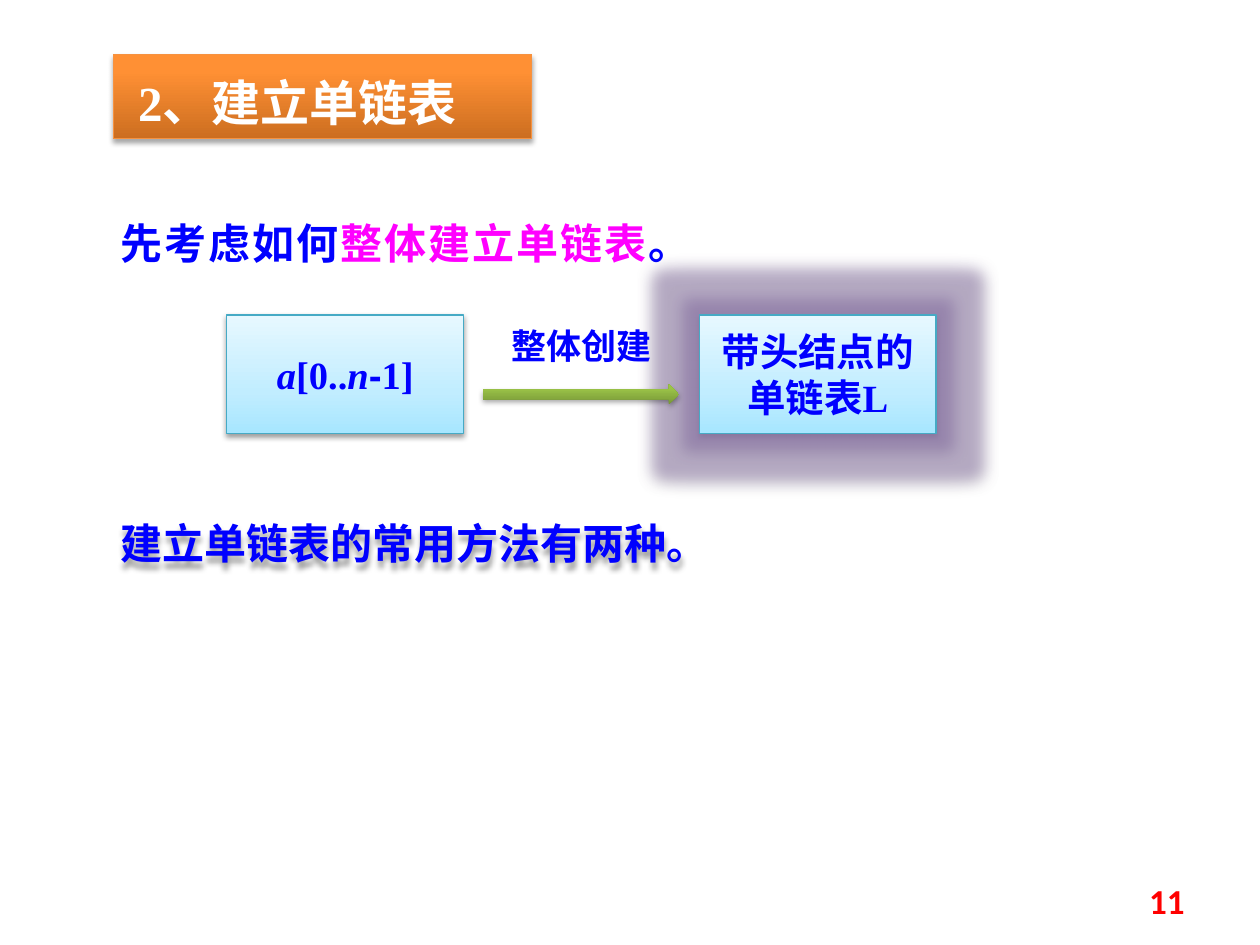
from dataclasses import dataclass
from lxml import etree
from pptx import Presentation, util as u
from pptx.dml.color import RGBColor
from pptx.enum import shapes, text
from pptx.oxml.ns import qn

COLS, ROWS = 100, 75


@dataclass(frozen=True)
class Theme:
    blue: str = "0000FF"
    magenta: str = "FF00FF"
    white: str = "FFFFFF"
    red: str = "FF0000"
    glow: str = "8064A2"
    orange: tuple = ((0, "CC6E20"), (80, "FF9034"), (100, "FF9136"))
    sky: tuple = ((0, "A7E6FF"), (35, "C1EDFF"), (100, "E7F8FF"))
    green: tuple = ((0, "779737"), (80, "9BC348"), (100, "9DC746"))
    orange_line: str = "F69240"
    sky_line: str = "46AAC5"
    title: int = 28
    body: int = 24
    node: int = 22
    label: int = 20
    serif: str = "Times New Roman"
    sans: str = "Arial"
    cjk: str = "Noto Sans CJK SC"
    number: str = "Calibri"


T = Theme()


@dataclass(frozen=True)
class Box:
    col: float
    row: float
    cols: float
    rows: float


@dataclass(frozen=True)
class Run:
    text: str
    color: str = T.blue
    font: str = T.serif
    italic: bool = False


@dataclass(frozen=True)
class Node:
    box: Box
    runs: tuple


@dataclass(frozen=True)
class Label:
    box: Box
    runs: tuple
    size: int
    align: text.PP_ALIGN = text.PP_ALIGN.LEFT
    spacing: float = 1.0
    anchor: text.MSO_ANCHOR = text.MSO_ANCHOR.TOP


NODES = (
    Node(Box(18, 25, 18.8, 9.4),
         (Run("a", italic=True), Run("[0.."), Run("n", italic=True),
          Run("-", font=T.sans), Run("1]"))),
    Node(Box(55.5, 25, 18.8, 9.4), (Run("带头结点的单链表L"),)),
)

INTRO = Label(Box(8.6, 14.8, 47.2, 7.1),
              (Run("先考虑如何"), Run("整体建立单链表", T.magenta), Run("。\u3000".replace("\u3000", "　"))),
              T.body, text.PP_ALIGN.JUSTIFY, 1.5)
ACTION = Label(Box(39.1, 25.3, 14.1, 4.4), (Run("整体创建", font=T.cjk),),
               T.label, text.PP_ALIGN.CENTER)
SUMMARY = Label(Box(8.6, 40.6, 50, 5), (Run("建立单链表的常用方法有两种。"),), T.body)
NUMBER = Label(Box(71.7, 69.5, 23.3, 4), (Run("11", T.red, T.number),),
               T.label, text.PP_ALIGN.RIGHT, anchor=text.MSO_ANCHOR.MIDDLE)


def place(prs, box: Box) -> tuple:
    dx, dy = prs.slide_width / COLS, prs.slide_height / ROWS
    return tuple(round(v) for v in (box.col * dx, box.row * dy, box.cols * dx, box.rows * dy))


def write(sp, runs: tuple, size: int, align=text.PP_ALIGN.CENTER, spacing: float = 1.0,
          anchor=text.MSO_ANCHOR.MIDDLE) -> None:
    tf = sp.text_frame
    tf.word_wrap = True
    tf.vertical_anchor = anchor
    p = tf.paragraphs[0]
    p.alignment = align
    p.line_spacing = spacing
    p.space_before = u.Pt(0)
    for run in runs:
        r = p.add_run()
        r.text = run.text
        f = r.font
        f.name, f.size, f.bold, f.italic = run.font, u.Pt(size), True, run.italic
        f.color.rgb = RGBColor.from_string(run.color)
        etree.SubElement(f._element, qn("a:ea"), typeface=T.cjk)


def color_node(parent, color: str, alpha: int = 100) -> None:
    clr = etree.SubElement(parent, qn("a:srgbClr"), val=color)
    if alpha < 100:
        etree.SubElement(clr, qn("a:alpha"), val=str(alpha * 1000))


def effects(sp, alpha: int, distance: float, glow: str = "") -> None:
    sp.shadow.inherit = False
    lst = sp._element.spPr.find(qn("a:effectLst"))
    if glow:
        color_node(etree.SubElement(lst, qn("a:glow"), rad=str(u.Pt(18))), glow, 40)
    shadow = etree.SubElement(lst, qn("a:outerShdw"), blurRad=str(u.Pt(3.1)),
                              dist=str(u.Pt(distance)), dir="5400000", rotWithShape="0")
    color_node(shadow, "000000", alpha)


def paint(sp, stops: tuple, line: str = "") -> None:
    sp.fill.gradient()
    sp.fill.gradient_angle = 90
    lst = sp._element.spPr.find(qn("a:gradFill")).find(qn("a:gsLst"))
    for old in list(lst):
        lst.remove(old)
    for position, color in stops:
        color_node(etree.SubElement(lst, qn("a:gs"), pos=str(position * 1000)), color)
    if line:
        sp.line.color.rgb = RGBColor.from_string(line)
        sp.line.width = u.Pt(0.75)
    else:
        sp.line.fill.background()


def add_title(prs, s) -> None:
    sp = s.shapes.title
    sp.left, sp.top, sp.width, sp.height = place(prs, Box(9, 4.3, 33.2, 6.7))
    paint(sp, T.orange, T.orange_line)
    effects(sp, 35, 1.8)
    write(sp, (Run(" 2、建立单链表", T.white),), T.title, text.PP_ALIGN.LEFT, 1.2)
    sp.text_frame.auto_size = text.MSO_AUTO_SIZE.NONE


def add_label(prs, s, label: Label):
    sp = s.shapes.add_textbox(*place(prs, label.box))
    write(sp, label.runs, label.size, label.align, label.spacing, label.anchor)
    return sp


def add_node(prs, s, node: Node, glow: str = "") -> None:
    sp = s.shapes.add_shape(shapes.MSO_SHAPE.RECTANGLE, *place(prs, node.box))
    paint(sp, T.sky, T.sky_line)
    effects(sp, 38, 1.6, glow)
    write(sp, node.runs, T.node)


def add_arrow(prs, s, box: Box) -> None:
    sp = s.shapes.add_shape(shapes.MSO_SHAPE.RIGHT_ARROW, *place(prs, box))
    paint(sp, T.green)
    effects(sp, 35, 1.8)


def main() -> None:
    prs = Presentation()
    prs.slide_width, prs.slide_height = u.Inches(10), u.Inches(7.5)
    s = prs.slides.add_slide(prs.slide_layouts[5])
    add_title(prs, s)
    add_label(prs, s, INTRO)
    for node, glow in zip(NODES, ("", T.glow)):
        add_node(prs, s, node, glow)
    add_arrow(prs, s, Box(38.3, 30.5, 15.6, 1.6))
    add_label(prs, s, ACTION)
    effects(add_label(prs, s, SUMMARY), 38, 3)
    add_label(prs, s, NUMBER)
    prs.save("out.pptx")


if __name__ == "__main__":
    main()
